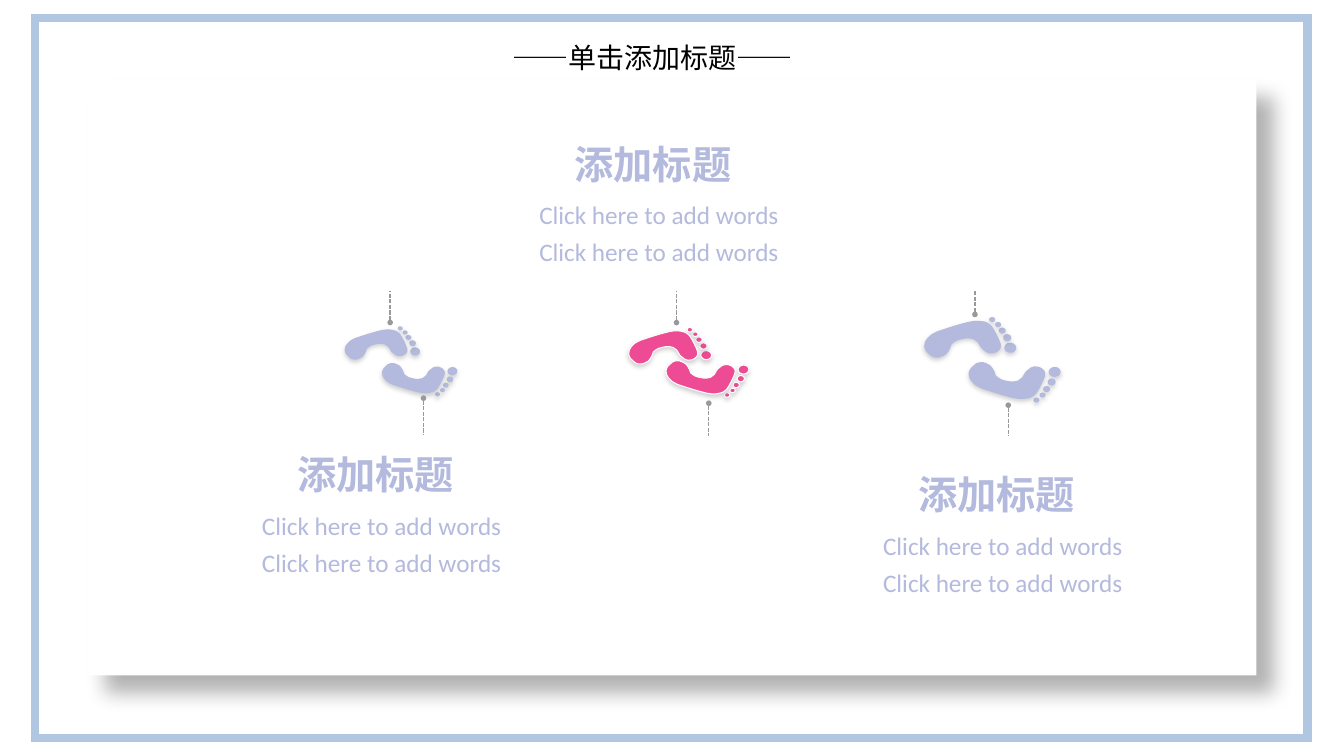
from math import cos, radians, sin

from lxml import etree
from pptx import Presentation
from pptx.dml.color import RGBColor
from pptx.enum.dml import MSO_LINE
from pptx.enum.shapes import MSO_CONNECTOR, MSO_SHAPE
from pptx.enum.text import MSO_AUTO_SIZE, PP_ALIGN
from pptx.oxml.ns import qn
from pptx.util import Inches, Pt

RECT, OVAL = MSO_SHAPE.RECTANGLE, MSO_SHAPE.OVAL
STRAIGHT, DASH = MSO_CONNECTOR.STRAIGHT, MSO_LINE.SQUARE_DOT
LEFT, JUSTIFY = PP_ALIGN.LEFT, PP_ALIGN.JUSTIFY
FIT = MSO_AUTO_SIZE.SHAPE_TO_FIT_TEXT

COLORS = {"white": "FFFFFF", "black": "000000", "frame": "B0C6E1", "lilac": "B4BADD",
          "pink": "ED4B93", "gray": "999999", "shade": "808080"}
CJK, LATIN = "Noto Sans CJK SC", "Calibri"
CARD_SHADOW = ("black", 30, 15, 18, 45)
FOOT_SHADOW = ("shade", 35, 3.1, 1.8, 90)
SOLE_TURN, TOE_TURN = 105, 92.8

SOLE_START = (0.09, -0.01)
SOLE_CURVES = [
    (0.11, 0, 0.11, 0, 0.13, 0.02), (0.14, 0.03, 0.16, 0.08, 0.18, 0.09),
    (0.2, 0.11, 0.23, 0.13, 0.25, 0.13), (0.28, 0.13, 0.31, 0.13, 0.33, 0.11),
    (0.34, 0.1, 0.37, 0.08, 0.36, 0.04), (0.35, 0, 0.3, -0.1, 0.27, -0.14),
    (0.24, -0.17, 0.21, -0.19, 0.17, -0.19), (0.12, -0.2, 0.06, -0.19, -0.01, -0.17),
    (-0.09, -0.15, -0.21, -0.11, -0.27, -0.09), (-0.33, -0.06, -0.35, -0.05, -0.37, -0.02),
    (-0.39, 0, -0.4, 0.03, -0.4, 0.06), (-0.4, 0.08, -0.38, 0.12, -0.36, 0.13),
    (-0.34, 0.15, -0.32, 0.17, -0.3, 0.17), (-0.27, 0.18, -0.24, 0.17, -0.22, 0.16),
    (-0.19, 0.15, -0.17, 0.13, -0.16, 0.11), (-0.14, 0.09, -0.14, 0.06, -0.13, 0.04),
    (-0.11, 0.02, -0.09, 0.01, -0.07, 0), (-0.04, -0.01, 0.01, -0.02, 0.03, -0.02),
    (0.07, -0.02, 0.07, -0.01, 0.09, -0.01)]
TOES = [(0.46, 0.07, 0.1, 0.12), (0.43, -0.03, 0.07, 0.08), (0.38, -0.1, 0.06, 0.07),
        (0.34, -0.16, 0.05, 0.06), (0.28, -0.21, 0.05, 0.06)]
FOOT_PAIRS = [((3.74, 3.43), (4.11, 3.74), 0.82, "lilac", None),
              ((6.59, 3.46), (6.96, 3.73), 0.9, "pink", "white"),
              ((9.56, 3.38), (10, 3.76), 1, "lilac", None)]
LEADERS = [(4.2, 3.95, 4.32), (3.87, 3.2, 2.89), (7.03, 4, 4.33),
           (6.71, 3.2, 2.89), (10, 4.02, 4.33), (9.67, 3.12, 2.88)]
CAPTIONS = [(2.85, 4.42), (5.6, 1.34), (9.01, 4.62)]


def sole_points(cx, cy, scale):
    """Return start and control points of the sole, turned back upright."""
    a = radians(SOLE_TURN)
    points = [SOLE_START] + [c[i:i + 2] for c in SOLE_CURVES for i in (0, 2, 4)]
    return [(Inches(cx + scale * (x * cos(a) + y * sin(a))),
             Inches(cy + scale * (y * cos(a) - x * sin(a)))) for x, y in points]


def round_outline(sp):
    """Turn each three line segments of a freeform into one cubic curve."""
    segments = list(sp._element.iter(qn("a:lnTo")))
    for i in range(0, len(segments), 3):
        curve = etree.Element(qn("a:cubicBezTo"))
        segments[i].addprevious(curve)
        for segment in segments[i:i + 3]:
            curve.append(segment[0])
            segment.getparent().remove(segment)


class Deck:
    """Hold the style and the current slide."""

    def __init__(self):
        """Open a blank wide slide."""
        self.prs = Presentation()
        self.prs.slide_width, self.prs.slide_height = Inches(13.33), Inches(7.5)
        self.s = self.prs.slides.add_slide(self.prs.slide_layouts[6])

    def color(self, name):
        """Return a named colour."""
        return RGBColor.from_string(COLORS[name])

    def paint(self, sp, fill, line=None, width=0.75, shadow=None):
        """Set fill, outline and shadow of a shape."""
        sp.shadow.inherit = False
        sp.fill.solid()
        sp.fill.fore_color.rgb = self.color(fill)
        if line:
            sp.line.color.rgb = self.color(line)
            sp.line.width = Pt(width)
            etree.SubElement(sp.line._get_or_add_ln(), qn("a:miter"), lim="800000")
        else:
            sp.line.fill.background()
        if shadow:
            name, alpha, blur, dist, angle = shadow
            effects = sp._element.spPr.find(qn("a:effectLst"))
            outer = etree.SubElement(effects, qn("a:outerShdw"), blurRad=str(Pt(blur)),
                                     dist=str(Pt(dist)), dir=str(angle * 60000), rotWithShape="0")
            clr = etree.SubElement(outer, qn("a:srgbClr"), val=COLORS[name])
            etree.SubElement(clr, qn("a:alpha"), val=str(alpha * 1000))

    def panel(self, x, y, w, h, **style):
        """Add a white rectangle."""
        sp = self.s.shapes.add_shape(RECT, Inches(x), Inches(y), Inches(w), Inches(h))
        self.paint(sp, "white", **style)

    def foot(self, center, scale, side, fill, line):
        """Add a grouped footprint; side -1 mirrors it vertically."""
        cx, cy = center
        shapes = self.s.shapes.add_group_shape().shapes
        parts = []
        for dx, dy, w, h in TOES:
            x, y = cx + scale * (dx - w / 2), cy + scale * (side * dy - h / 2)
            toe = shapes.add_shape(OVAL, Inches(x), Inches(y), Inches(w * scale), Inches(h * scale))
            parts.append((toe, TOE_TURN))
        points = sole_points(cx, cy, scale)
        builder = shapes.build_freeform(*points[0])
        builder.add_line_segments(points[1:], close=True)
        sole = builder.convert_to_shape()
        round_outline(sole)
        parts.append((sole, SOLE_TURN))
        for sp, turn in parts:
            sp.rotation = side * turn
            if side < 0:
                sp._element.spPr.xfrm.set("flipV", "1")
            self.paint(sp, fill, line, shadow=FOOT_SHADOW)

    def leader(self, x, y1, y2):
        """Add a dashed vertical line with a dot at its start."""
        c = self.s.shapes.add_connector(STRAIGHT, Inches(x), Inches(y1), Inches(x), Inches(y2))
        c.line.color.rgb = self.color("gray")
        c.line.width = Pt(1)
        c.line.dash_style = DASH
        etree.SubElement(c.line._get_or_add_ln(), qn("a:headEnd"), type="oval", w="sm", len="sm")
        etree.SubElement(c._element.spPr, qn("a:effectLst"))

    def text(self, x, y, w, h, words, size, font, color, bold=False, align=LEFT):
        """Add a one-line text box."""
        tf = self.s.shapes.add_textbox(Inches(x), Inches(y), Inches(w), Inches(h)).text_frame
        tf.word_wrap = True
        tf.auto_size = FIT
        p = tf.paragraphs[0]
        p.alignment = align
        r = p.add_run()
        r.text = words
        r.font.size, r.font.bold, r.font.name = Pt(size), bold, font
        r.font.color.rgb = self.color(color)
        etree.SubElement(r.font._element, qn("a:ea"), typeface=font)

    def caption(self, x, y):
        """Add a heading with two lines below it."""
        self.text(x, y, 2.95, 0.57, "添加标题", 28, CJK, "lilac", bold=True)
        for dy in (0.59, 0.96):
            self.text(x - 0.35, y + dy, 2.75, 0.4, "Click here to add words", 18, LATIN, "lilac")


def main():
    """Build and save the slide."""
    deck = Deck()
    deck.panel(0.35, 0.18, 12.62, 7.14, line="frame", width=6)
    deck.panel(0.87, 0.79, 11.59, 5.91, shadow=CARD_SHADOW)
    deck.text(4.98, 0.35, 3.38, 0.44, "——单击添加标题——", 20, CJK, "black", align=JUSTIFY)
    for upper, lower, scale, fill, line in FOOT_PAIRS:
        deck.foot(upper, scale, 1, fill, line)
        deck.foot(lower, scale, -1, fill, line)
    for leader in LEADERS:
        deck.leader(*leader)
    for caption in CAPTIONS:
        deck.caption(*caption)
    deck.prs.save("out.pptx")


if __name__ == "__main__":
    main()
